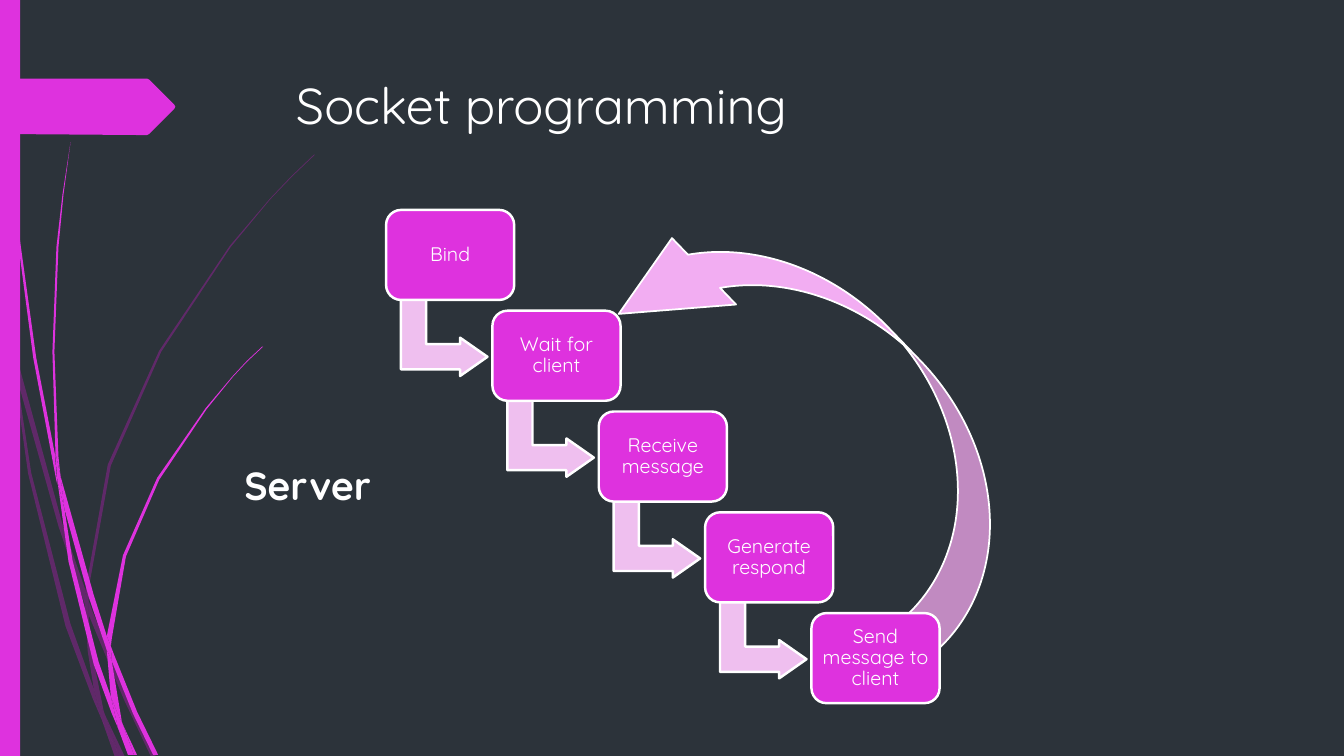
from lxml import etree
from pptx import Presentation, util as u
from pptx.dml.color import RGBColor
from pptx.enum import shapes, text
from pptx.oxml.ns import qn

Cm, Pt = u.Cm, u.Pt
SHAPE = shapes.MSO_SHAPE

SLATE = RGBColor(0x2C, 0x33, 0x3A)
MAGENTA = RGBColor(0xDE, 0x32, 0xDE)
PURPLE = RGBColor(0xB0, 0x1C, 0xB0)
ROSE = RGBColor(0xEF, 0xBF, 0xEF)
PINK = RGBColor(0xF2, 0xAD, 0xF2)
WHITE = RGBColor(0xFF, 0xFF, 0xFF)

STEPS = ["Bind", "Wait for client", "Receive message", "Generate respond",
         "Send message to client"]

# Outlines of the decoration, measured in grid units
GRID_UNIT = Cm(.0254)
FADED_BLADES = [
    [(11, 350), (9, 322), (0, 282), (0, 299), (10, 344)],
    [(58, 522), (84, 599), (85, 586), (62, 520), (14, 345), (17, 376)],
    [(92, 607), (88, 596), (88, 610), (123, 694), (150, 751), (155, 751),
     (127, 692)],
    [(119, 751), (124, 751), (105, 711)],
    [(93, 683), (70, 619), (31, 469), (17, 376), (11, 350), (28, 470),
     (65, 621), (92, 693), (101, 714), (99, 707)],
    [(84, 599), (87, 646), (93, 683), (96, 692), (105, 711), (103, 706),
     (91, 646), (88, 610), (88, 608)],
    [(88, 584), (110, 462), (160, 349), (229, 245), (268, 198), (290, 175),
     (312, 154), (312, 153), (289, 175), (268, 197), (228, 244), (158, 348),
     (107, 461), (85, 584), (85, 586), (88, 596)],
    [(101, 714), (114, 751), (119, 751)],
    [(88, 608), (88, 596), (85, 586), (84, 599)],
    [(96, 692), (93, 683), (99, 707), (101, 714), (119, 751), (105, 711)],
]
BRIGHT_BLADES = [
    [(7, 110), (17, 233), (33, 355), (56, 477), (57, 481), (55, 457),
     (55, 453), (36, 355), (19, 232), (8, 109), (5, 48), (4, 0), (3, 0),
     (4, 48)],
    [(88, 592), (106, 645), (106, 631), (93, 590), (60, 472), (64, 505)],
    [(113, 649), (110, 641), (111, 656), (132, 708), (152, 749), (157, 749),
     (136, 706)],
    [(110, 691), (98, 657), (72, 556), (64, 505), (57, 477), (68, 557),
     (93, 659), (111, 708), (117, 722), (116, 717)],
    [(60, 472), (58, 453), (54, 349), (58, 245), (63, 193), (70, 141),
     (62, 193), (56, 245), (52, 349), (55, 449)],
    [(133, 749), (136, 749), (122, 719)],
    [(57, 477), (64, 505), (60, 472), (55, 449), (55, 453)],
    [(111, 633), (125, 552), (158, 476), (205, 406), (231, 374), (245, 359),
     (261, 344), (260, 344), (245, 358), (231, 373), (204, 405), (156, 474),
     (122, 551), (106, 631), (110, 641)],
    [(117, 722), (127, 749), (131, 749)],
    [(106, 645), (110, 691), (116, 706), (122, 719), (121, 716), (111, 656),
     (109, 651)],
    [(106, 645), (109, 651), (111, 656), (110, 641), (106, 631)],
    [(116, 706), (110, 691), (116, 717), (117, 722), (130, 749), (133, 749),
     (122, 719)],
]
POINTER = [(173, 108), (148, 133), (146, 134), (136, 134), (0, 133), (0, 78),
           (136, 78), (146, 78), (148, 79), (173, 104), (174, 106)]


def apply(target, values):
    for name, value in values.items():
        setattr(target, name, value)


def paint(shape, color, outline=None):
    shape.shadow.inherit = False
    shape.fill.solid()
    shape.fill.fore_color.rgb = color
    if outline:
        shape.line.color.rgb = WHITE
        shape.line.width = Pt(outline)
    else:
        shape.line.fill.background()


def add_preset(page, kind, box, color, outline=None, adjustments=()):
    shape = page.shapes.add_shape(kind, *(Cm(length) for length in box))
    paint(shape, color, outline)
    for index, value in enumerate(adjustments):
        shape.adjustments[index] = value
    return shape


def add_outline(page, points, left, top, color, opacity=100):
    builder = page.shapes.build_freeform(*points[0], scale=GRID_UNIT)
    builder.add_line_segments(points[1:], close=True)
    shape = builder.convert_to_shape(Cm(left), Cm(top))
    paint(shape, color)
    if opacity < 100:
        tint = next(shape.element.spPr.iter(qn("a:srgbClr")))
        etree.SubElement(tint, qn("a:alpha"), val=str(opacity * 1000))


def write(shape, words, frame_format, para_format, font_format):
    frame = shape.text_frame
    apply(frame, {"word_wrap": True, **frame_format})
    para = frame.paragraphs[0]
    apply(para, para_format)
    span = para.add_run()
    span.text = words
    apply(span.font, {"name": "Quicksand", **font_format})
    span.font.color.rgb = WHITE


def add_decoration(page, left, top, height):
    # Grass blades
    for blades, color, opacity in ((FADED_BLADES, PURPLE, 40),
                                   (BRIGHT_BLADES, MAGENTA, 100)):
        for blade in blades:
            add_outline(page, blade, left, top, color, opacity)
    # Side bar and pointer
    add_preset(page, SHAPE.RECTANGLE, (left, top, .51, height), MAGENTA)
    add_outline(page, POINTER, left, top, MAGENTA)


def add_label(page, words, box, font_format):
    label = page.shapes.add_textbox(*(Cm(length) for length in box))
    write(label, words, {"vertical_anchor": text.MSO_ANCHOR.TOP}, {}, font_format)


def add_return_arrow(page, box):
    arrow = add_preset(page, SHAPE.CURVED_LEFT_ARROW, box, PINK, 1.25,
                       (.25, .5, .493))
    arrow.rotation = 316
    arrow.element.spPr.xfrm.set("flipV", "1")


def add_staircase(page, left, top, width, height):
    step_width, step_height = 3.23, 2.27
    across = (width - step_width) / (len(STEPS) - 1)
    down = (height - step_height) / (len(STEPS) - 1)
    margins = {f"margin_{side}": Cm(.15)
               for side in ("left", "right", "top", "bottom")}
    for index, words in enumerate(STEPS):
        x, y = left + index * across, top + index * down
        # Arrow to the next step
        if index < len(STEPS) - 1:
            arrow = add_preset(page, SHAPE.BENT_UP_ARROW,
                               (x + .5, y + 2.13, 1.93, 2.18), ROSE, 1.75,
                               (.328, .25, .358))
            arrow.rotation = 90
        # Step
        step = add_preset(page, SHAPE.ROUNDED_RECTANGLE,
                          (x, y, step_width, step_height), MAGENTA, 1.75, (.167,))
        write(step, words,
              {"vertical_anchor": text.MSO_ANCHOR.MIDDLE, **margins},
              {"alignment": text.PP_ALIGN.CENTER, "line_spacing": .9},
              {"size": Pt(14)})


def main():
    deck = Presentation()
    apply(deck, {"slide_width": Cm(33.87), "slide_height": Cm(19.05)})
    page = deck.slides.add_slide(deck.slide_layouts[6])
    page.background.fill.solid()
    page.background.fill.fore_color.rgb = SLATE

    add_decoration(page, 0, 0, 19.05)
    add_return_arrow(page, (18.59, 3.66, 4.65, 12.83))
    add_label(page, "Socket programming", (7.21, 1.75, 24.77, 3.56),
              {"size": Pt(36)})
    add_staircase(page, 9.73, 5.29, 13.95, 12.43)
    add_label(page, "Server", (5.91, 11.51, 4.52, 1.45),
              {"size": Pt(28), "bold": True})
    deck.save("out.pptx")


if __name__ == "__main__":
    main()
